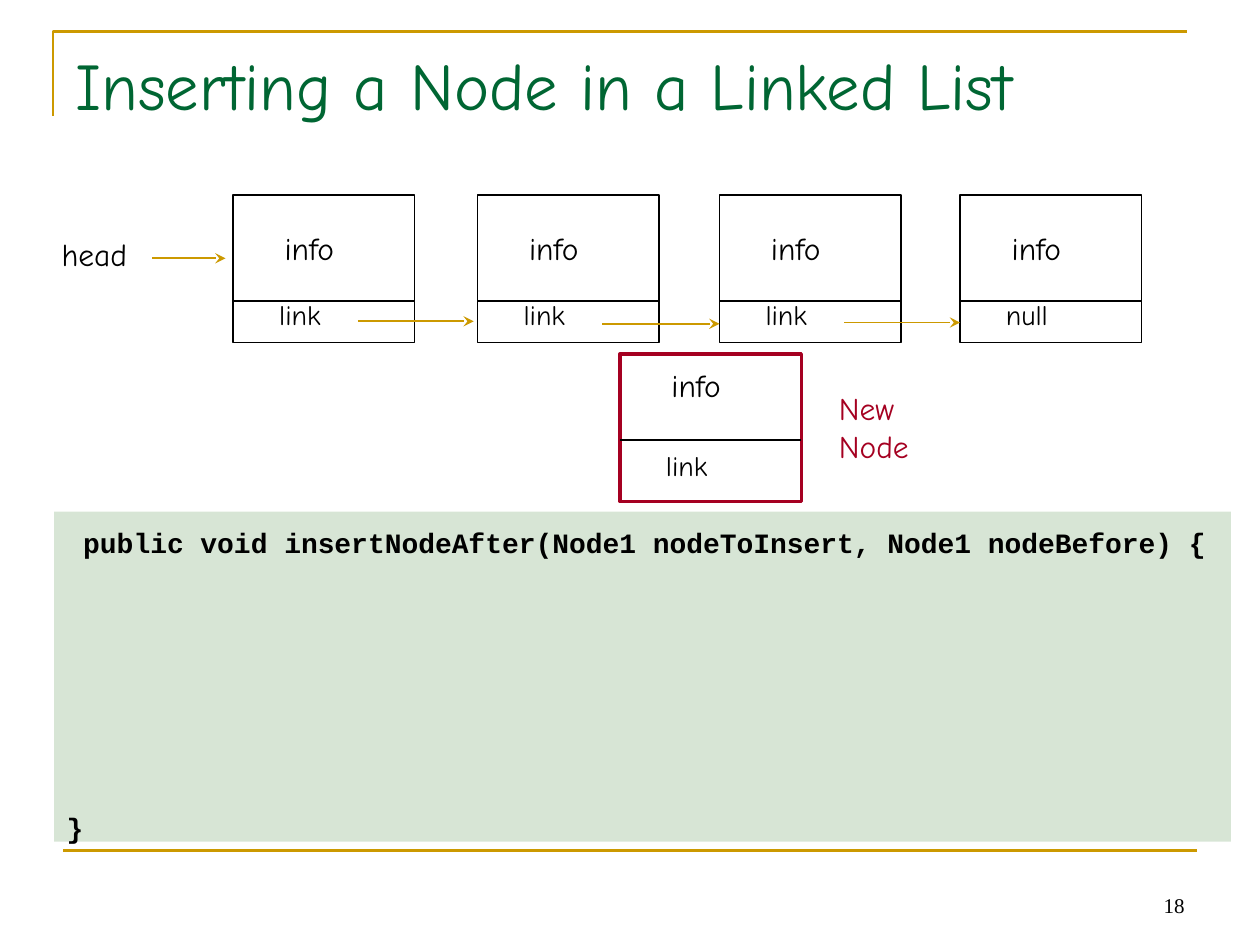
"""Build a slide on inserting a node in a linked list."""
from typing import NamedTuple

from lxml import etree
from pptx import Presentation
from pptx.dml.color import RGBColor
from pptx.enum.shapes import MSO_CONNECTOR, MSO_SHAPE
from pptx.enum.text import MSO_ANCHOR, PP_ALIGN
from pptx.oxml.ns import qn
from pptx.util import Pt

RECTANGLE = MSO_SHAPE.RECTANGLE
STRAIGHT = MSO_CONNECTOR.STRAIGHT
LEFT, CENTER, RIGHT = PP_ALIGN.LEFT, PP_ALIGN.CENTER, PP_ALIGN.RIGHT
TOP, BOTTOM = MSO_ANCHOR.TOP, MSO_ANCHOR.BOTTOM

PX = 9144
GOLD, BLACK, GREEN, RED, CODE_GREEN = "CC9900", "000000", "006633", "A50021", "3B812F"
COMIC, COURIER, TIMES = "Comic Neue", "Courier New", "Times New Roman"
NODE_WIDTH, NODE_HEIGHT = 144, 117


class Node(NamedTuple):
    """A list node with the offsets of its parts from its top."""

    left: int
    link: str
    top: int = 155
    info_offset: int = 22
    divider_offset: int = 84
    link_offset: int = 76
    color: str = BLACK
    weight: float = 1


class Label(NamedTuple):
    """A line of text in a box."""

    text: str
    left: int
    top: int
    width: int
    height: int
    size: int = 18
    font: str = COMIC
    color: str = BLACK
    align: PP_ALIGN = LEFT
    anchor: MSO_ANCHOR = TOP
    wrap: bool = False


class Segment(NamedTuple):
    """A straight line from one point to another."""

    x1: int
    y1: int
    x2: int
    y2: int


NODES = [
    Node(185, "link"),
    Node(379, "link"),
    Node(571, "link"),
    Node(762, "null"),
    Node(492, "link", 281, 5, 68, 70, RED, 2),
]
ARROWS = [
    Segment(121, 205, 179, 205),
    Segment(284, 255, 376, 255),
    Segment(478, 257, 571, 257),
    Segment(670, 256, 762, 256),
]
LABELS = [
    Label("18", 717, 683, 233, 50, 12, TIMES, align=RIGHT, anchor=BOTTOM, wrap=True),
    Label("Inserting a Node in a Linked List", 50, 30, 900, 125, 38, color=GREEN, wrap=True),
    Label("head", 39, 182, 72, 40),
    Label("New Node", 656, 304, 127, 40, color=RED),
]
CODE_LINES = [
    (" public void insertNodeAfter(Node1 nodeToInsert, Node1 nodeBefore) {", 0),
    ("}", 144),
]


def rgb(color: str) -> RGBColor:
    """Turn a hex string into a colour."""
    return RGBColor.from_string(color)


def add_run(paragraph, text: str, size: int, font: str, color: str, bold: bool = False) -> None:
    """Add one formatted run to a paragraph."""
    run = paragraph.add_run()
    run.text = text
    run.font.size = Pt(size)
    run.font.name = font
    run.font.bold = bold
    run.font.color.rgb = rgb(color)


def add_label(slide, label: Label) -> None:
    """Draw a text box holding one line."""
    shape = slide.shapes.add_textbox(
        label.left * PX, label.top * PX, label.width * PX, label.height * PX
    )
    frame = shape.text_frame
    frame.word_wrap = label.wrap
    frame.vertical_anchor = label.anchor
    paragraph = frame.paragraphs[0]
    paragraph.alignment = label.align
    add_run(paragraph, label.text, label.size, label.font, label.color)


def add_line(slide, segment: Segment, color: str, weight: float = 1, arrow: bool = False) -> None:
    """Draw a straight line, with an arrowhead at its end if asked."""
    connector = slide.shapes.add_connector(STRAIGHT, *(value * PX for value in segment))
    connector.line.color.rgb = rgb(color)
    connector.line.width = Pt(weight)
    if arrow:
        line = connector.line._get_or_add_ln()
        etree.SubElement(line, qn("a:tailEnd"), type="stealth")
    etree.SubElement(connector._element.spPr, qn("a:effectLst"))


def add_node(slide, node: Node) -> None:
    """Draw a node with its info and link fields."""
    shape = slide.shapes.add_shape(
        RECTANGLE, node.left * PX, node.top * PX, NODE_WIDTH * PX, NODE_HEIGHT * PX
    )
    shape.shadow.inherit = False
    shape.fill.background()
    shape.line.color.rgb = rgb(node.color)
    shape.line.width = Pt(node.weight)
    divider = node.top + node.divider_offset
    add_line(slide, Segment(node.left, divider, node.left + NODE_WIDTH, divider), BLACK)
    info_top, link_top = node.top + node.info_offset, node.top + node.link_offset
    add_label(slide, Label("info", node.left + 31, info_top, 59, 40, align=CENTER))
    add_label(
        slide, Label(node.link, node.left + 19, link_top, 68, 37, 16, align=CENTER, wrap=True)
    )


def add_frame(slide) -> None:
    """Draw the corner line above the title and the line at the foot."""
    builder = slide.shapes.build_freeform(42, 92, scale=PX)
    builder.add_line_segments([(42, 25), (942, 25)], close=False)
    corner = builder.convert_to_shape()
    corner.shadow.inherit = False
    corner.fill.background()
    corner.line.color.rgb = rgb(GOLD)
    corner.line.width = Pt(1.5)
    add_line(slide, Segment(50, 675, 950, 675), GOLD, 1.5)


def add_code(slide) -> None:
    """Draw the tinted panel with the method outline."""
    panel = slide.shapes.add_shape(RECTANGLE, 43 * PX, 406 * PX, 934 * PX, 262 * PX)
    panel.shadow.inherit = False
    panel.line.fill.background()
    panel.fill.solid()
    panel.fill.fore_color.rgb = rgb(CODE_GREEN)
    color_element = panel._element.spPr.find(qn("a:solidFill"))[0]
    etree.SubElement(color_element, qn("a:alpha"), val="20000")
    frame = panel.text_frame
    frame.word_wrap = True
    frame.vertical_anchor = TOP
    frame.margin_top = 11 * PX
    for index, (text, gap) in enumerate(CODE_LINES):
        paragraph = frame.add_paragraph() if index else frame.paragraphs[0]
        paragraph.alignment = LEFT
        paragraph.space_before = Pt(gap)
        add_run(paragraph, text, 16, COURIER, BLACK, bold=True)


def main() -> None:
    """Build and save the presentation."""
    presentation = Presentation()
    presentation.slide_width = 1000 * PX
    presentation.slide_height = 750 * PX
    slide = presentation.slides.add_slide(presentation.slide_layouts[6])
    add_frame(slide)
    for label in LABELS:
        add_label(slide, label)
    for node in NODES:
        add_node(slide, node)
    for arrow in ARROWS:
        add_line(slide, arrow, GOLD, arrow=True)
    add_code(slide)
    presentation.save("out.pptx")


if __name__ == "__main__":
    main()
